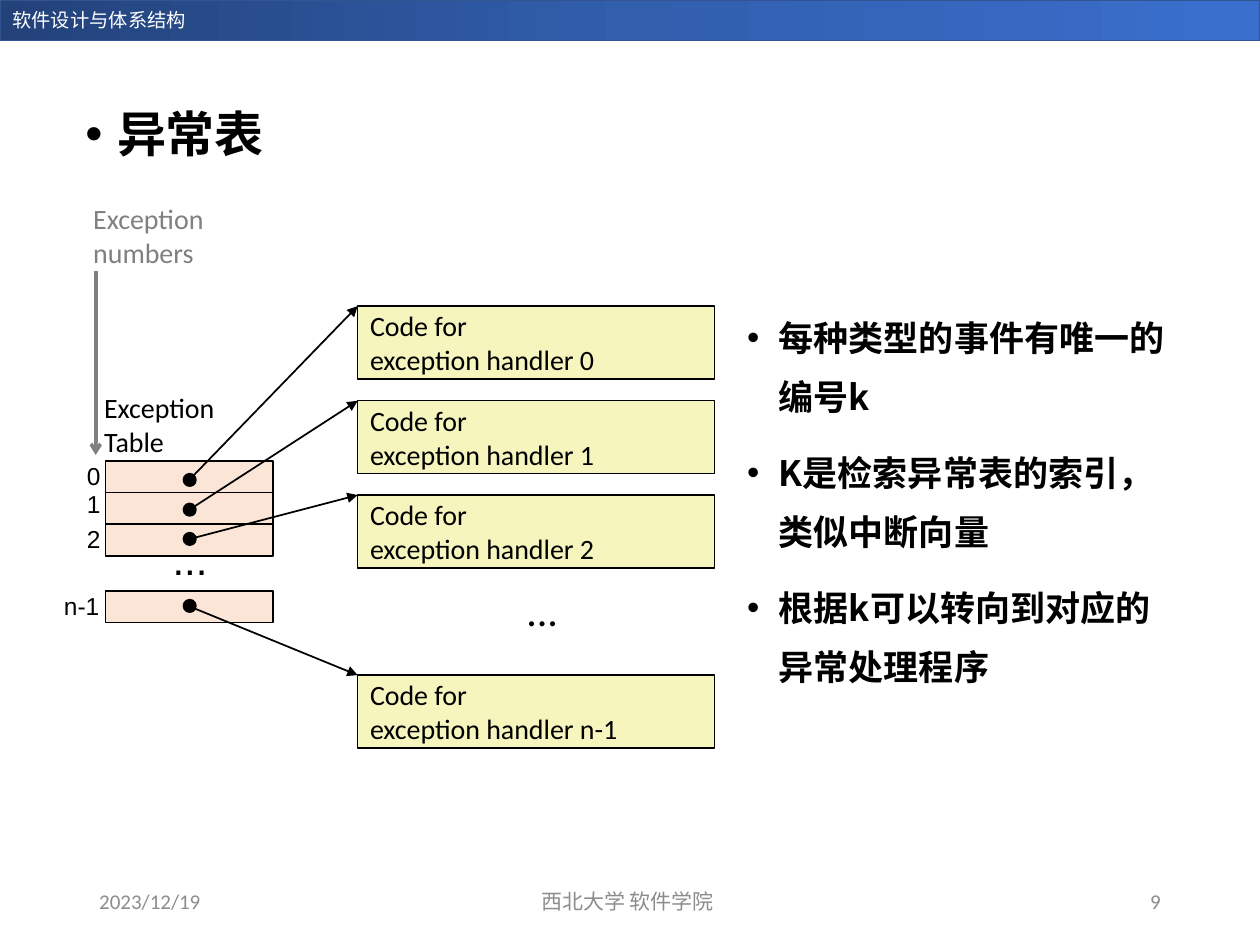
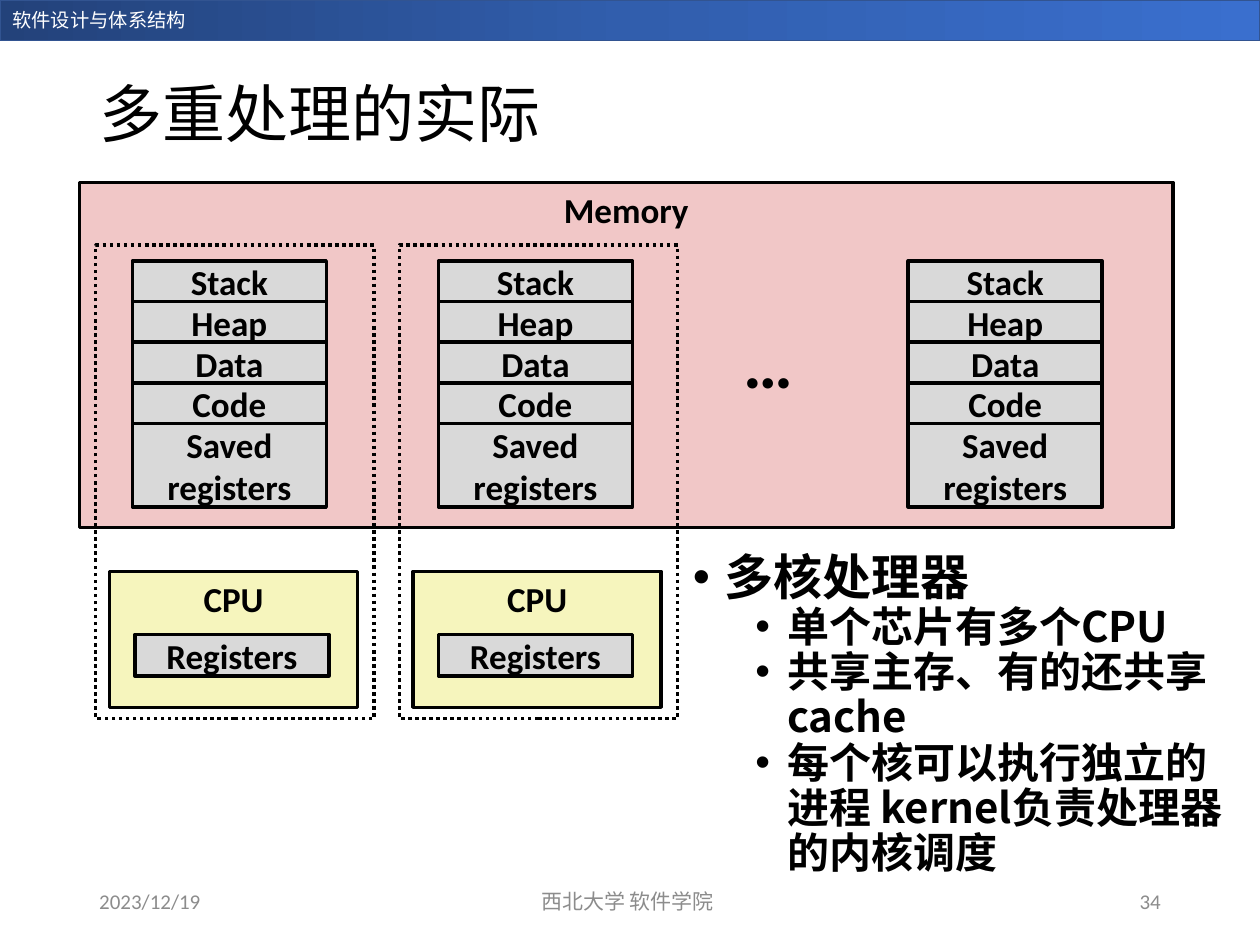
from copy import deepcopy

from pptx import Presentation
from pptx.dml.color import RGBColor as RGB
from pptx.enum.dml import MSO_LINE
from pptx.enum.shapes import MSO_CONNECTOR as LINE, MSO_SHAPE as SHAPE
from pptx.enum.text import MSO_ANCHOR as ANCHOR, PP_ALIGN as ALIGN
from pptx.oxml.ns import qn
from pptx.util import Cm, Pt


class Theme:
    # Colours
    black, white, grey, footer = "000000", "FFFFFF", "808080", "8C8C8C"
    band, band_edge = ("23427A", "315EAD", "3A6FCE"), "325491"
    peach, yellow, pink, silver = "FBE5D6", "F6F5BD", "F1C7C7", "D9D9D9"
    # Fonts
    latin, label, cjk = "Calibri", "Arial", "Noto Sans CJK SC"
    # Type sizes
    tiny, foot, index, code, body = 11, 12, 14, 16, 20
    dots, sub, head, title, big_dots = 24, 24, 28, 36, 40


T = Theme


def add_text(s, text, x, y, w, h, *, size=T.body, font=T.latin, color=T.black,
             bold=False, align=ALIGN.LEFT, anchor=ANCHOR.TOP, wrap=True,
             spacing=None, before=0, bullets=None, fill=None, line=None,
             weight=1, dash=None, shape=SHAPE.RECTANGLE):
    """Add a text box, or a shape if fill or line is given.

    Each line of text is a paragraph; bullets lists (left margin in cm, size).
    """
    box = Cm(x), Cm(y), Cm(w), Cm(h)
    if fill or line:
        sp = s.shapes.add_shape(shape, *box)
        sp.shadow.inherit = False
        if fill:
            sp.fill.solid()
            sp.fill.fore_color.rgb = RGB.from_string(fill)
        else:
            sp.fill.background()
        sp.line.color.rgb = RGB.from_string(line)
        sp.line.width = Pt(weight)
        if dash:
            sp.line.dash_style = dash
    else:
        sp = s.shapes.add_textbox(*box)
    if not text:
        return sp
    tf = sp.text_frame
    tf.word_wrap = wrap
    tf.vertical_anchor = anchor
    for i, part in enumerate(text.split("\n")):
        p = tf.paragraphs[0] if i == 0 else tf.add_paragraph()
        p.alignment = align
        p.space_before = Pt(before)
        if spacing:
            p.line_spacing = spacing
        r = p.add_run()
        r.text = part
        r.font.size = Pt(size)
        r.font.name = font
        r.font.bold = bold
        r.font.color.rgb = RGB.from_string(color)
        rPr = r._r.get_or_add_rPr()
        ea = rPr.makeelement(qn("a:ea"), {"typeface": T.cjk})
        rPr.find(qn("a:latin")).addnext(ea)
        if bullets:
            margin, points = bullets[i]
            r.font.size = Pt(points)
            pPr = p._p.get_or_add_pPr()
            pPr.set("marL", str(Cm(margin)))
            pPr.set("indent", str(-Cm(0.64)))
            for tag, attrs in (("a:buFont", {"typeface": T.label}),
                               ("a:buChar", {"char": "•"})):
                pPr.append(pPr.makeelement(qn(tag), attrs))
    return sp


def add_arrow(s, x1, y1, x2, y2, color=T.black, weight=1, head="triangle"):
    c = s.shapes.add_connector(LINE.STRAIGHT, Cm(x1), Cm(y1), Cm(x2), Cm(y2))
    c.line.color.rgb = RGB.from_string(color)
    c.line.width = Pt(weight)
    ln = c.line._get_or_add_ln()
    ln.append(ln.makeelement(qn("a:tailEnd"), {"type": head}))
    spPr = c._element.spPr
    spPr.append(spPr.makeelement(qn("a:effectLst"), {}))


prs = Presentation()
prs.slide_width, prs.slide_height = Cm(25.4), Cm(19.05)

# Shared band and footers
slides = []
for number in ("9", "34"):
    s = prs.slides.add_slide(prs.slide_layouts[6])
    slides.append(s)
    band = add_text(s, "", 0, 0, 25.4, 0.82, fill=T.band[0], line=T.band_edge)
    band.fill.gradient()
    band.fill.gradient_angle = 0
    stops = band._element.spPr.find(".//" + qn("a:gsLst"))
    stops.insert(1, deepcopy(stops[0]))
    for stop, pos, color in zip(band.fill.gradient_stops, (0, 0.5, 1), T.band):
        stop.position = pos
        stop.color.rgb = RGB.from_string(color)
    add_text(s, "软件设计与体系结构", 0, 0.04, 6.32, 0.73, size=T.tiny, color=T.white)
    for text, x, w, align in (("2023/12/19", 1.75, 5.72, ALIGN.LEFT),
                              ("西北大学 软件学院 ", 8.41, 8.58, ALIGN.CENTER),
                              (number, 17.93, 5.72, ALIGN.RIGHT)):
        add_text(s, text, x, 17.66, w, 1.01, size=T.foot, color=T.footer,
                 align=align, anchor=ANCHOR.MIDDLE)

# Slide 1: exception table
s = slides[0]
add_text(s, "异常表", 1.47, 2.1, 21.9, 1.83, font=T.cjk, bold=True,
         spacing=0.9, before=10, bullets=[(0.64, T.head)])
add_text(s, "每种类型的事件有唯一的编号k\nK是检索异常表的索引，类似中断向量\n"
         "根据k可以转向到对应的异常处理程序", 14.81, 5.92, 9.07, 8.31,
         font=T.cjk, bold=True, spacing=1.4, before=10,
         bullets=[(0.64, T.body)] * 3)

# Table entries, each pointing at its handler
small = dict(size=T.index, font=T.label, anchor=ANCHOR.MIDDLE, wrap=False)
entries = (("0", 1.5, 9.17, 9.3, 9.68, 6.17),
           ("1", 1.5, 9.73, 9.93, 10.28, 8.08),
           ("2", 1.5, 10.44, 10.57, 10.87, 9.98),
           ("n-1", 1.04, 11.79, 11.91, 12.22, 13.61))
for name, label_x, label_y, row_y, dot_y, handler_y in entries:
    add_text(s, "", 2.13, row_y, 3.38, 0.64, fill=T.peach, line=T.black)
    add_text(s, "", 3.7, dot_y - 0.13, 0.25, 0.25, fill=T.black, line=T.black,
             shape=SHAPE.OVAL)
    add_text(s, name, label_x, label_y, 2.28 - label_x, 0.84, **small)
    add_text(s, f"Code for\nexception handler {name}", 7.21, handler_y, 7.19,
             1.47, size=T.code, anchor=ANCHOR.MIDDLE, fill=T.yellow,
             line=T.black, weight=0.75)
    add_arrow(s, 3.81, dot_y, 7.21, handler_y)

# Gaps and headings
for x, y, font in ((3.23, 10.62, T.label), (10.36, 11.66, T.latin)):
    add_text(s, "...", x, y, 1.22, 1.27, size=T.dots, font=font,
             anchor=ANCHOR.MIDDLE, wrap=False)
add_text(s, "Exception\nTable", 1.85, 7.75, 2.82, 1.63, size=T.code, wrap=False)
add_text(s, "Exception\nnumbers", 1.63, 3.94, 2.95, 1.63, size=T.code,
         color=T.grey, wrap=False)
add_arrow(s, 1.93, 5.46, 1.93, 9.17, color=T.grey, weight=2, head="arrow")

# Slide 2: multiprocessing
s = slides[1]
add_text(s, "多重处理的实际", 1.75, 1.02, 21.9, 2.67, size=T.title, font=T.cjk,
         spacing=0.9, anchor=ANCHOR.MIDDLE)
add_text(s, "多核处理器\n单个芯片有多个CPU\n共享主存、有的还共享cache\n"
         "每个核可以执行独立的进程 kernel负责处理器的内核调度",
         13.72, 11.02, 11.18, 6.96, font=T.cjk, bold=True, spacing=0.9,
         bullets=[(0.64, T.head)] + [(1.9, T.sub)] * 3)

# Memory with one stack of segments per process
frame = dict(line=T.black, weight=2, bold=True, align=ALIGN.CENTER)
cell = dict(frame, fill=T.silver, anchor=ANCHOR.MIDDLE)
add_text(s, "Memory", 1.6, 3.68, 22.05, 6.96, fill=T.pink, **frame)
segments = ("Stack", "Heap", "Data", "Code", "Saved registers")
for x in (2.67, 8.84, 18.31):
    for i, name in enumerate(segments):
        h = 1.68 if name == segments[-1] else 0.84
        add_text(s, name, x, 5.26 + 0.82 * i, 3.91, h, **cell)
add_text(s, "…", 14.73, 6.3, 1.52, 1.96, size=T.big_dots, bold=True, wrap=False)

# Cores
for x in (1.93, 8.05):
    add_text(s, "CPU", x + 0.28, 11.52, 5, 2.74, fill=T.yellow, **frame)
    add_text(s, "Registers", x + 0.79, 12.79, 3.91, 0.84, **cell)
    add_text(s, "", x, 4.94, 5.61, 9.55, dash=MSO_LINE.ROUND_DOT, **frame)

prs.save("out.pptx")
